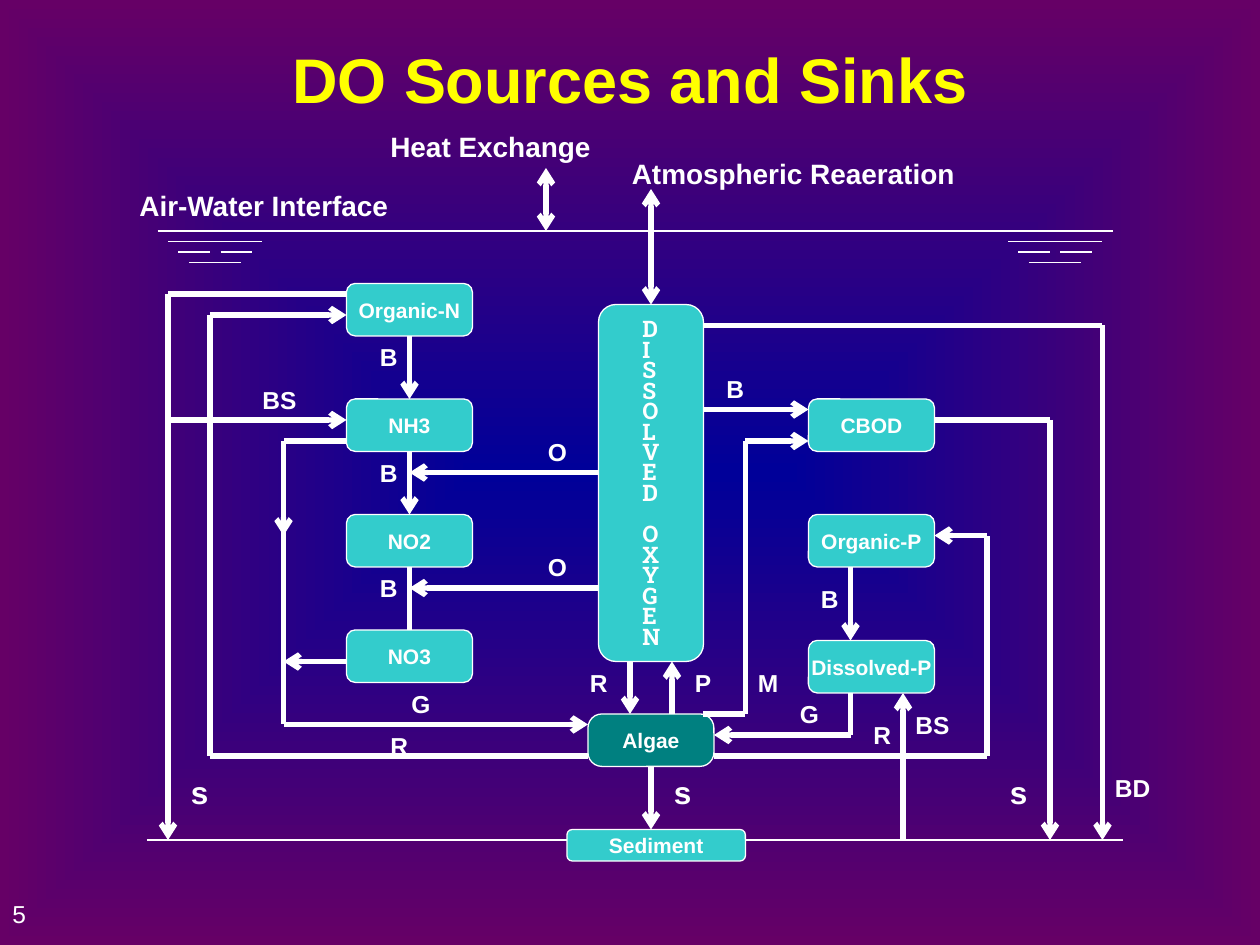
"""Build the slide on sources and sinks of dissolved oxygen, laid out on a grid of 1/12 inch."""
import itertools
from dataclasses import dataclass
from typing import Any, NamedTuple

import lxml.etree
import pptx
import pptx.dml.color
import pptx.enum.dml
import pptx.enum.shapes
import pptx.enum.text
import pptx.oxml.ns
import pptx.util

qn = pptx.oxml.ns.qn
ALIGN = pptx.enum.text.PP_ALIGN
ANCHOR = pptx.enum.text.MSO_ANCHOR


@dataclass(frozen=True)
class Theme:
    centre: str = "000099"
    edge: str = "660066"
    box: str = "33CCCC"
    algae: str = "008080"
    white: str = "FFFFFF"
    title: str = "FFFF00"
    font: str = "Arial"
    slab: str = "Roboto Slab"
    title_size: int = 36
    sink_size: int = 18
    caption_size: int = 16
    label_size: int = 14
    stack_size: int = 13
    box_size: int = 12
    thick: float = 3
    thin: float = 0.75


T = Theme()


class Box(NamedTuple):
    text: str
    x: float
    y: float
    w: float = 12
    h: float = 5
    fill: str = T.box
    corner: float = 0.167


class Label(NamedTuple):
    text: str
    x: float
    y: float
    w: float = 4.2
    size: int = T.label_size


class Route(NamedTuple):
    points: list[tuple[float, float]]
    head: bool = False
    tail: bool = True
    width: float = T.thick


BOXES = [
    Box("", 57, 29, 10, 34),
    Box("Organic-N", 33, 27),
    Box("NH3", 33, 38),
    Box("NO2", 33, 49),
    Box("NO3", 33, 60),
    Box("CBOD", 77, 38),
    Box("Organic-P", 77, 49),
    Box("Dissolved-P", 77, 61),
    Box("Algae", 56, 68, fill=T.algae, corner=0.267),
    Box("Sediment", 54, 79, 17, 3),
]

ROUTES = [
    Route([(56, 72), (20, 72), (20, 30), (33, 30)]),
    Route([(33, 28), (16, 28), (16, 80)]),
    Route([(16, 40), (33, 40)]),
    Route([(33, 42), (27, 42), (27, 51)]),
    Route([(27, 49), (27, 69), (56, 69)]),
    Route([(33, 63), (27, 63)]),
    Route([(39, 32), (39, 38)]),
    Route([(39, 43), (39, 49)]),
    Route([(39, 54), (39, 60)], tail=False),
    Route([(57, 45), (39, 45)]),
    Route([(57, 56), (39, 56)]),
    Route([(67, 31), (105, 31), (105, 80)]),
    Route([(67, 39), (77, 39)]),
    Route([(89, 40), (100, 40), (100, 80)]),
    Route([(67, 68), (71, 68), (71, 42), (77, 42)]),
    Route([(68, 72), (94, 72), (94, 51), (89, 51)]),
    Route([(81, 54), (81, 61)]),
    Route([(81, 66), (81, 70), (68, 70)]),
    Route([(86, 80), (86, 66)]),
    Route([(60, 63), (60, 68)]),
    Route([(64, 68), (64, 63)]),
    Route([(62, 73), (62, 79)]),
    Route([(52, 16), (52, 22)], head=True),
    Route([(62, 18), (62, 29)], head=True),
]

LEVELS = [(15, 106, 22), (14, 54, 80), (71, 107, 80)]
RIPPLES = [(0, 9, 23), (1, 4, 24), (5, 8, 24), (2, 7, 25)]
RIPPLE_STARTS = [16, 96]

LABELS = [
    Label("Heat Exchange", 36, 11.7, 21.8, T.caption_size),
    Label("Atmospheric Reaeration", 59, 14.3, 33.6, T.caption_size),
    Label("Air-Water Interface", 12.1, 17.4, 26.5, T.caption_size),
    *(Label("B", x, y) for x, y in [(35, 32), (35, 43), (35, 54), (68, 35), (77, 55)]),
    *(Label("O", 51, y) for y in (41, 52)),
    *(Label("G", x, y) for x, y in [(38, 65), (75, 66)]),
    *(Label("R", x, y) for x, y in [(36, 69), (55, 63), (82, 68)]),
    *(Label("BS", x, y, 5.9) for x, y in [(23.8, 36.1), (86, 67)]),
    *(Label("s", x, 73, size=T.sink_size) for x in (17, 63, 95)),
    Label("P", 65, 63),
    Label("M", 71, 63, 4.5),
    Label("BD", 105, 73, 5.9),
]


def u(n: float) -> pptx.util.Length:
    return pptx.util.Cm(n * 2.54 / 12)


def rgb(value: str) -> pptx.dml.color.RGBColor:
    return pptx.dml.color.RGBColor.from_string(value)


def write(p: Any, text: str, *, size: float, color: str = T.white, font: str = T.font,
          bold: bool = True, align: Any = ALIGN.LEFT, spacing: float = 1, before: float = 0) -> None:
    p.alignment, p.line_spacing, p.space_before = align, spacing, pptx.util.Pt(before)
    r = p.add_run()
    r.text = text
    r.font.name, r.font.size, r.font.bold = font, pptx.util.Pt(size), bold
    r.font.color.rgb = rgb(color)


def paint_background(s: Any) -> None:
    fill = s.background.fill
    fill.gradient()
    for stop, color in zip(fill.gradient_stops, (T.centre, T.edge)):
        stop.color.rgb = rgb(color)
    lin = next(s.element.iter(qn("a:lin")))
    shade = lxml.etree.Element(qn("a:path"), {"path": "rect"})
    lxml.etree.SubElement(shade, qn("a:fillToRect"), dict.fromkeys("ltrb", "50000"))
    lin.getparent().replace(lin, shade)


def draw_box(s: Any, box: Box) -> Any:
    sp = s.shapes.add_shape(pptx.enum.shapes.MSO_SHAPE.ROUNDED_RECTANGLE,
                            u(box.x), u(box.y), u(box.w), u(box.h))
    sp.adjustments[0] = box.corner
    sp.shadow.inherit = False
    sp.fill.solid()
    sp.fill.fore_color.rgb = rgb(box.fill)
    sp.line.color.rgb = rgb(T.white)
    sp.line.width = pptx.util.Pt(T.thin)
    if box.text:
        tf = sp.text_frame
        tf.word_wrap, tf.vertical_anchor = False, ANCHOR.MIDDLE
        write(tf.paragraphs[0], box.text, size=T.box_size, align=ALIGN.CENTER)
    return sp


def side_middles(box: Box) -> list[tuple[float, float]]:
    cx, cy = box.x + box.w / 2, box.y + box.h / 2
    return [(cx, box.y), (box.x, cy), (cx, box.y + box.h), (box.x + box.w, cy)]


def draw_route(s: Any, route: Route, sites: dict) -> None:
    last = len(route.points) - 2
    for i, (a, b) in enumerate(itertools.pairwise(route.points)):
        c = s.shapes.add_connector(pptx.enum.shapes.MSO_CONNECTOR.STRAIGHT, *map(u, a + b))
        if a in sites:
            c.begin_connect(*sites[a])
        if b in sites:
            c.end_connect(*sites[b])
        c.line.color.rgb = rgb(T.white)
        c.line.width = pptx.util.Pt(route.width)
        ends = {"a:headEnd": route.head and i == 0, "a:tailEnd": route.tail and i == last}
        for tag in (tag for tag, shown in ends.items() if shown):
            lxml.etree.SubElement(c.line._get_or_add_ln(), qn(tag), {"type": "arrow"})
        lxml.etree.SubElement(c._element.spPr, qn("a:effectLst"))


def draw_label(s: Any, label: Label, bold: bool = True) -> None:
    height = pptx.util.Pt(label.size * 1.2 + 7.2)
    tf = s.shapes.add_textbox(u(label.x), u(label.y), u(label.w), height).text_frame
    tf.word_wrap, tf.auto_size = False, pptx.enum.text.MSO_AUTO_SIZE.SHAPE_TO_FIT_TEXT
    write(tf.paragraphs[0], label.text, size=label.size, bold=bold)


def draw_stacked_name(s: Any) -> None:
    tf = s.shapes.add_textbox(u(60), u(30), u(4.2), u(32.4)).text_frame
    tf.word_wrap = True
    style = dict(size=T.stack_size, font=T.slab, spacing=0.75)
    write(tf.paragraphs[0], "DISSOLVED", **style)
    write(tf.add_paragraph(), "OXYGEN", before=11.8, **style)


def main() -> None:
    prs = pptx.Presentation()
    prs.slide_width, prs.slide_height = u(120), u(90)
    s = prs.slides.add_slide(prs.slide_layouts[5])
    paint_background(s)
    title = s.shapes.title
    title.left, title.top, title.width, title.height = u(6), u(0), u(108), u(15)
    title.text_frame.vertical_anchor = ANCHOR.MIDDLE
    write(title.text_frame.paragraphs[0], "DO Sources and Sinks",
          size=T.title_size, color=T.title, align=ALIGN.CENTER)
    sites = {}
    for box in BOXES:
        sp = draw_box(s, box)
        sites |= {point: (sp, i) for i, point in enumerate(side_middles(box))}
    ripples = [(x + a, x + b, y) for x in RIPPLE_STARTS for a, b, y in RIPPLES]
    levels = [Route([(a, y), (b, y)], tail=False, width=T.thin) for a, b, y in LEVELS + ripples]
    for route in levels + ROUTES:
        draw_route(s, route, sites)
    for label in LABELS:
        draw_label(s, label)
    draw_stacked_name(s)
    draw_label(s, Label("5", 0, 85), bold=False)
    prs.save("out.pptx")


if __name__ == "__main__":
    main()
